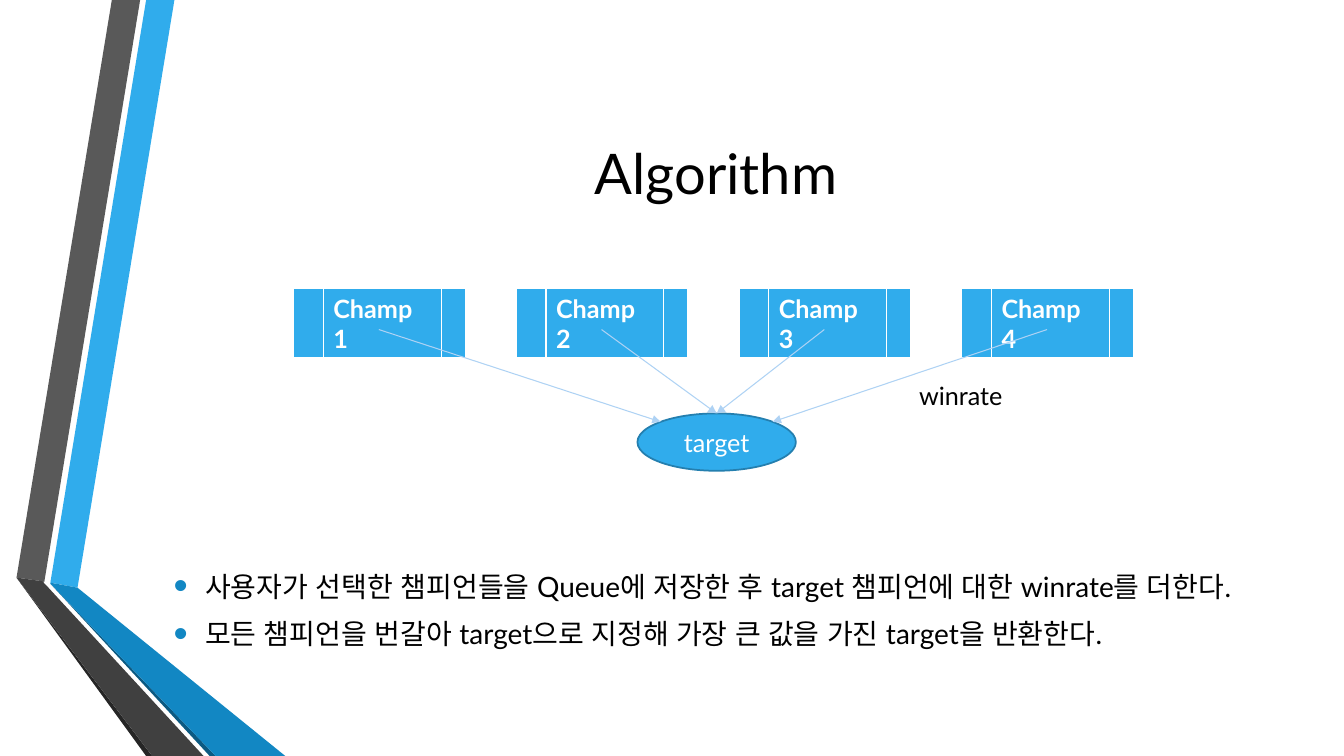
from dataclasses import dataclass
from math import sqrt

from lxml import etree
from pptx import Presentation
from pptx import util as u
from pptx.dml.color import RGBColor
from pptx.enum import lang, shapes, text
from pptx.oxml import ns

BLACK = RGBColor(0x00, 0x00, 0x00)
WHITE = RGBColor(0xFF, 0xFF, 0xFF)
BLUE = RGBColor(0x30, 0xAC, 0xEC)
MID_BLUE = RGBColor(0x12, 0x87, 0xC3)
DEEP_BLUE = RGBColor(0x0C, 0x5A, 0x82)
OUTLINE_BLUE = RGBColor(0x24, 0x7F, 0xAF)
PALE_BLUE = RGBColor(0xAE, 0xD2, 0xF4)
GREY = RGBColor(0x59, 0x59, 0x59)
DARK_GREY = RGBColor(0x40, 0x40, 0x40)
DEEP_GREY = RGBColor(0x26, 0x26, 0x26)

FONT = "Lato"
PAGE_WIDTH, PAGE_HEIGHT = 960, 540
CONTENT_LEFT, CONTENT_WIDTH = 116.9, 789.1


@dataclass(frozen=True)
class Frame:
    left: float
    top: float
    width: float
    height: float

    def lengths(self) -> list:
        return [u.Pt(v) for v in (self.left, self.top, self.width, self.height)]


@dataclass(frozen=True)
class Ribbon:
    color: RGBColor
    points: tuple


@dataclass(frozen=True)
class Champion:
    name: str
    site_x: float
    site_y: float


RIBBONS = (
    Ribbon(BLUE, ((36, 416.2), (55.4, 419.8), (124.6, 0), (104.4, 0))),
    Ribbon(GREY, ((100.1, 0), (79.9, 0), (11.8, 412.6), (31.7, 415.4))),
    Ribbon(DEEP_GREY, ((11.8, 412.6), (104.4, 540), (108.7, 540))),
    Ribbon(DEEP_BLUE, ((36, 416.9), (149.8, 540), (154.1, 540))),
    Ribbon(MID_BLUE, ((36, 416.9), (154.1, 540), (203.8, 540),
                      (55.4, 419.8), (36, 416.2))),
    Ribbon(DARK_GREY, ((145.4, 540), (34.6, 419.8), (31, 416.2), (31.7, 415.4),
                       (11.8, 412.6), (108.7, 540))),
)

DIAGONAL = sqrt(0.5)
CHAMPIONS = (
    Champion("Champ 1", -DIAGONAL, -DIAGONAL),
    Champion("Champ 2", 0, -1),
    Champion("Champ 3", 0, -1),
    Champion("Champ 4", DIAGONAL, -DIAGONAL),
)
CHAMPION_LEFT, CHAMPION_TOP, CHAMPION_STEP = 209.7, 206.2, 159.1
CHAMPION_COLUMNS = (21.2, 84.2, 16.4)
CHAMPION_HEIGHT = 29.2
BORDERS = (("a:lnL", 1), ("a:lnR", 1), ("a:lnT", 1), ("a:lnB", 3))

TARGET = Frame(455.3, 295.3, 113.2, 41)
BULLETS = (
    "사용자가 선택한 챔피언들을 Queue에 저장한 후 target 챔피언에 대한 winrate를 더한다.",
    "모든 챔피언을 번갈아 target으로 지정해 가장 큰 값을 가진 target을 반환한다.",
)


def add_node(parent, tag: str, **attributes):
    return etree.SubElement(parent, ns.qn(tag), attributes)


def add_span(para, words: str, size: float, color: RGBColor, bold: bool = False) -> None:
    span = para.add_run()
    span.text = words
    span.font.name = FONT
    span.font.size = u.Pt(size)
    span.font.bold = bold
    span.font.color.rgb = color
    span.font.language_id = lang.MSO_LANGUAGE_ID.KOREAN
    add_node(span._r.get_or_add_rPr(), "a:ea", typeface=FONT)


def add_box(page, frame: Frame, anchor):
    box = page.shapes.add_textbox(*frame.lengths())
    box.text_frame.word_wrap = True
    box.text_frame.vertical_anchor = anchor
    return box.text_frame


def add_ribbon(page, ribbon: Ribbon) -> None:
    first, *rest = [(u.Pt(x), u.Pt(y)) for x, y in ribbon.points]
    builder = page.shapes.build_freeform(*first, scale=1.0)
    builder.add_line_segments(rest, close=True)
    shape = builder.convert_to_shape()
    shape.shadow.inherit = False
    shape.fill.solid()
    shape.fill.fore_color.rgb = ribbon.color
    shape.line.fill.background()


def add_borders(cell) -> None:
    properties = cell._tc.get_or_add_tcPr()
    for index, (tag, width) in enumerate(BORDERS):
        border = etree.Element(ns.qn(tag), {"w": str(u.Pt(width))})
        fill = add_node(border, "a:solidFill")
        add_node(fill, "a:srgbClr", val=str(WHITE))
        properties.insert(index, border)


def add_champion(page, champion: Champion, frame: Frame) -> None:
    table = page.shapes.add_table(1, len(CHAMPION_COLUMNS), *frame.lengths()).table
    table.first_row = False
    table.horz_banding = False
    for index, width in enumerate(CHAMPION_COLUMNS):
        table.columns[index].width = u.Pt(width)
        cell = table.cell(0, index)
        cell.fill.solid()
        cell.fill.fore_color.rgb = BLUE
        add_borders(cell)
    add_span(table.cell(0, 1).text_frame.paragraphs[0], champion.name, 18, WHITE, True)


def add_arrow(page, champion: Champion, frame: Frame) -> None:
    start_x = frame.left + frame.width / 2
    start_y = frame.top + frame.height
    end_x = TARGET.left + TARGET.width / 2 * (1 + champion.site_x)
    end_y = TARGET.top + TARGET.height / 2 * (1 + champion.site_y)
    ends = [u.Pt(v) for v in (start_x, start_y, end_x, end_y)]
    arrow = page.shapes.add_connector(shapes.MSO_CONNECTOR.STRAIGHT, *ends)
    arrow.line.color.rgb = PALE_BLUE
    arrow.line.width = u.Pt(0.75)
    add_node(arrow.line._get_or_add_ln(), "a:tailEnd", type="triangle")
    add_node(arrow._element.spPr, "a:effectLst")


def add_target(page) -> None:
    target = page.shapes.add_shape(shapes.MSO_SHAPE.OVAL, *TARGET.lengths())
    target.shadow.inherit = False
    target.fill.solid()
    target.fill.fore_color.rgb = BLUE
    target.line.color.rgb = OUTLINE_BLUE
    target.line.width = u.Pt(1.25)
    target.text_frame.vertical_anchor = text.MSO_ANCHOR.MIDDLE
    para = target.text_frame.paragraphs[0]
    para.alignment = text.PP_ALIGN.CENTER
    add_span(para, "target", 18, WHITE)


def add_bullet(para, words: str) -> None:
    para.space_before = u.Pt(4)
    para.space_after = u.Pt(6)
    properties = para._p.get_or_add_pPr()
    indent = u.Pt(22.5)
    properties.set("marL", str(indent))
    properties.set("indent", str(-indent))
    color = add_node(properties, "a:buClr")
    add_node(color, "a:srgbClr", val=str(MID_BLUE))
    add_node(properties, "a:buSzPct", val="145000")
    add_node(properties, "a:buFont", typeface="Arial")
    add_node(properties, "a:buChar", char="•")
    add_span(para, words, 20, BLACK)


deck = Presentation()
deck.slide_width = u.Pt(PAGE_WIDTH)
deck.slide_height = u.Pt(PAGE_HEIGHT)
page = deck.slides.add_slide(deck.slide_layouts[6])

for ribbon in RIBBONS:
    add_ribbon(page, ribbon)

title = add_box(page, Frame(CONTENT_LEFT, 54, CONTENT_WIDTH, 138), text.MSO_ANCHOR.MIDDLE)
title.paragraphs[0].alignment = text.PP_ALIGN.CENTER
add_span(title.paragraphs[0], "Algorithm", 40, BLACK)

body = add_box(page, Frame(CONTENT_LEFT, 379.4, CONTENT_WIDTH, 112.3), text.MSO_ANCHOR.MIDDLE)
body.margin_right = u.Pt(24)
for index, words in enumerate(BULLETS):
    add_bullet(body.add_paragraph() if index else body.paragraphs[0], words)

frames = [
    Frame(CHAMPION_LEFT + CHAMPION_STEP * index, CHAMPION_TOP,
          sum(CHAMPION_COLUMNS), CHAMPION_HEIGHT)
    for index in range(len(CHAMPIONS))
]
for champion, frame in zip(CHAMPIONS, frames):
    add_champion(page, champion, frame)
add_target(page)
for champion, frame in zip(CHAMPIONS, frames):
    add_arrow(page, champion, frame)

label = add_box(page, Frame(649.4, 268.2, 81.4, 29), text.MSO_ANCHOR.TOP)
add_span(label.paragraphs[0], "winrate", 18, BLACK)

deck.save("out.pptx")
